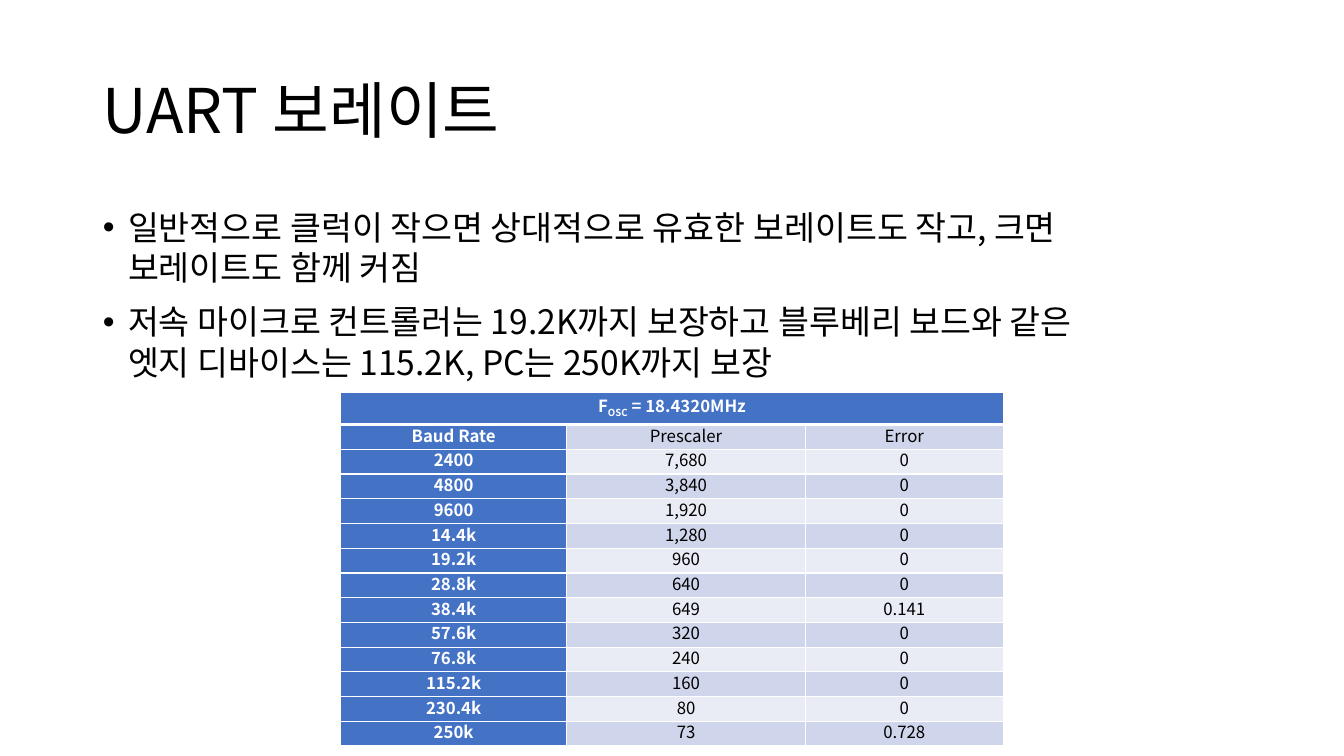
from dataclasses import dataclass
from typing import Optional

from lxml.etree import SubElement
from pptx import Presentation
from pptx.dml.color import RGBColor
from pptx.enum.text import MSO_ANCHOR, MSO_AUTO_SIZE, PP_ALIGN
from pptx.oxml.ns import qn
from pptx.util import Inches, Pt


@dataclass(frozen=True)
class Theme:
    font: str = "Noto Sans CJK KR"
    ink: str = "000000"
    white: str = "FFFFFF"
    blue: str = "4472C4"
    bands: tuple[str, str] = ("CFD5EA", "E9EBF5")
    title: int = 44
    body: int = 24
    cell: int = 12


@dataclass(frozen=True)
class Rate:
    baud: str
    scale: str
    error: str = "0"


THEME = Theme()

POINTS = (
    "일반적으로 클럭이 작으면 상대적으로 유효한 보레이트도 작고, 크면 \n보레이트도 함께 커짐",
    "저속 마이크로 컨트롤러는 19.2K까지 보장하고 블루베리 보드와 같은 \n"
    "엣지 디바이스는 115.2K, PC는 250K까지 보장",
)

RATES = (
    Rate("Baud Rate", "Prescaler", "Error"),
    Rate("2400", "7,680"),
    Rate("4800", "3,840"),
    Rate("9600", "1,920"),
    Rate("14.4k", "1,280"),
    Rate("19.2k", "960"),
    Rate("28.8k", "640"),
    Rate("38.4k", "649", "0.141"),
    Rate("57.6k", "320"),
    Rate("76.8k", "240"),
    Rate("115.2k", "160"),
    Rate("230.4k", "80"),
    Rate("250k", "73", "0.728"),
)


def style(para, size: int, color: str, bold: bool = False) -> None:
    for run in para.runs:
        font = run.font
        font.size, font.bold, font.name = Pt(size), bold, THEME.font
        font.color.rgb = RGBColor.from_string(color)
        SubElement(run._r.get_or_add_rPr(), qn("a:ea"), typeface=THEME.font)


def place(shape, left: float, top: float, width: float, height: float) -> None:
    shape.left, shape.top = Inches(left), Inches(top)
    shape.width, shape.height = Inches(width), Inches(height)
    shape.text_frame.word_wrap = True
    shape.text_frame.auto_size = MSO_AUTO_SIZE.NONE


def add_title(slide) -> None:
    shape = slide.shapes.title
    place(shape, 0.92, 0.4, 11.5, 1.45)
    shape.text_frame.text = "UART 보레이트"
    shape.text_frame.vertical_anchor = MSO_ANCHOR.MIDDLE
    para = shape.text_frame.paragraphs[0]
    para.alignment, para.line_spacing = PP_ALIGN.LEFT, 0.9
    style(para, THEME.title, THEME.ink)


def add_points(slide) -> None:
    shape = slide.placeholders[1]
    place(shape, 0.92, 2, 11.5, 4.76)
    frame = shape.text_frame
    for num, text in enumerate(POINTS):
        para = frame.add_paragraph() if num else frame.paragraphs[0]
        para.text = text
        para.line_spacing = Pt(28.8)
        para.space_before = Pt(10 if num else 0)
        props = para._p.get_or_add_pPr()
        props.set("marL", str(Inches(0.25)))
        props.set("indent", str(-Inches(0.25)))
        SubElement(props, qn("a:buFont"), typeface="Arial")
        SubElement(props, qn("a:buChar"), char="•")
        style(para, THEME.body, THEME.ink)


def add_edges(cell, top: int, base: int) -> None:
    props = cell._tc.get_or_add_tcPr()
    for side, width in (("L", 1), ("R", 1), ("T", top), ("B", base)):
        line = SubElement(props, qn(f"a:ln{side}"), w=str(Pt(width)))
        fill = SubElement(line, qn("a:solidFill"))
        SubElement(fill, qn("a:srgbClr"), val=THEME.white)


def paint(cell, fill: str, pad: tuple[float, float], top: int = 1, base: int = 1) -> None:
    add_edges(cell, top, base)
    cell.fill.solid()
    cell.fill.fore_color.rgb = RGBColor.from_string(fill)
    cell.margin_left = cell.margin_right = Inches(pad[0])
    cell.margin_top = cell.margin_bottom = Inches(pad[1])


def write(cell, text: Optional[str], color: str, bold: bool) -> None:
    para = cell.text_frame.paragraphs[0]
    if text is not None:
        para.text = text
    para.alignment, para.line_spacing = PP_ALIGN.CENTER, Pt(16)
    props = para._p.get_or_add_pPr()
    props.set("marL", "0")
    props.set("indent", str(-Inches(0.11)))
    style(para, THEME.cell, color, bold)


def add_rates(slide) -> None:
    head, full = 0.32, 3.51
    widths = (2.24, 2.37, 1.96)
    frame = slide.shapes.add_table(
        len(RATES) + 1, len(widths),
        Inches(3.38), Inches(3.89), Inches(sum(widths)), Inches(full))
    table = frame.table
    table.first_row = table.horz_banding = False
    for col, width in zip(table.columns, widths):
        col.width = Inches(width)
    for num, row in enumerate(table.rows):
        row.height = Inches((full - head) / len(RATES) if num else head)

    # Clock heading across all columns
    for col in range(len(widths)):
        paint(table.cell(0, col), THEME.blue, (0.1, 0.05), base=3)
    clock = table.cell(0, 0)
    clock.merge(table.cell(0, len(widths) - 1))
    for text in ("F", "OSC", " = 18.4320MHz"):
        run = clock.text_frame.paragraphs[0].add_run()
        run.text = text
        if text == "OSC":
            run._r.get_or_add_rPr().set("baseline", "-25000")
    write(clock, None, THEME.white, True)

    # Rate rows: blue first column, banded values
    for num, rate in enumerate(RATES):
        for col, text in enumerate((rate.baud, rate.scale, rate.error)):
            cell = table.cell(num + 1, col)
            fill = THEME.bands[num % 2] if col else THEME.blue
            paint(cell, fill, (0.09, 0), top=1 if num else 3)
            write(cell, text, THEME.ink if col else THEME.white, not col)


def main() -> None:
    deck = Presentation()
    deck.slide_width, deck.slide_height = Inches(13.33), Inches(7.5)
    slide = deck.slides.add_slide(deck.slide_layouts[1])
    add_title(slide)
    add_points(slide)
    add_rates(slide)
    deck.save("out.pptx")


if __name__ == "__main__":
    main()
